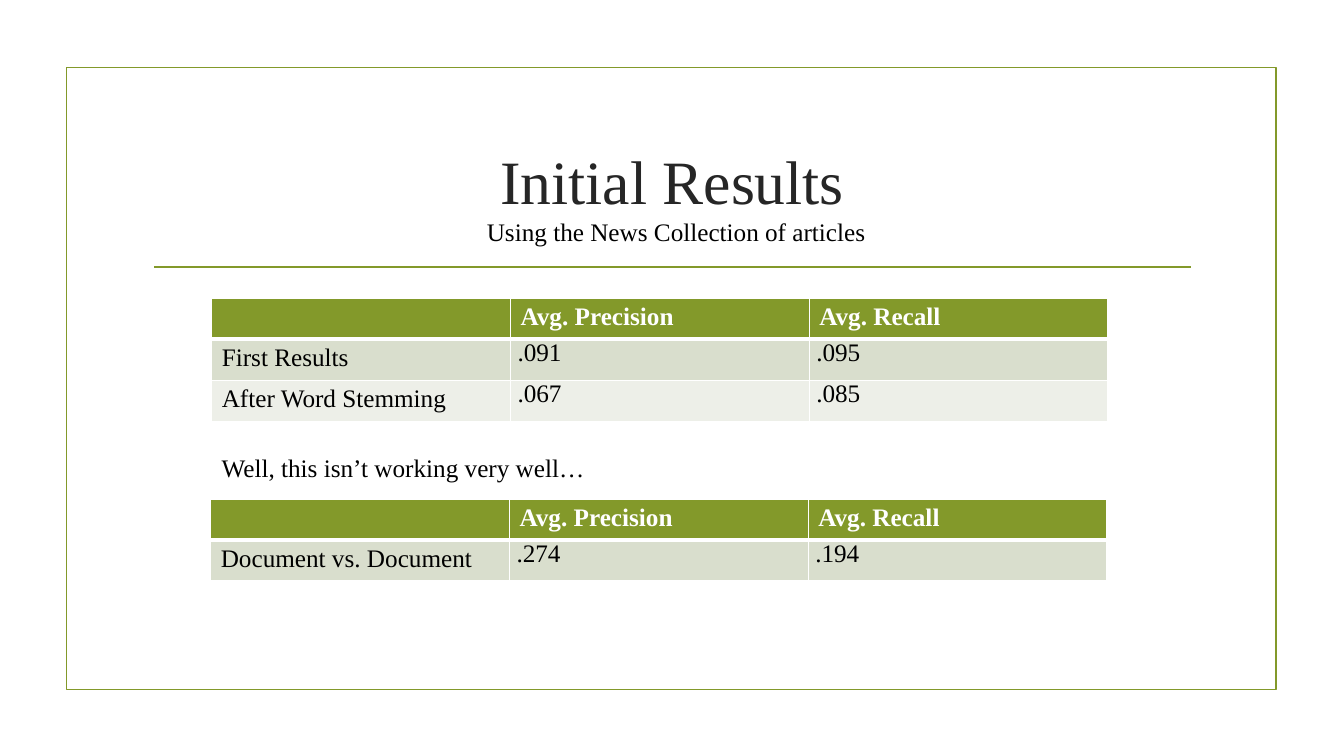
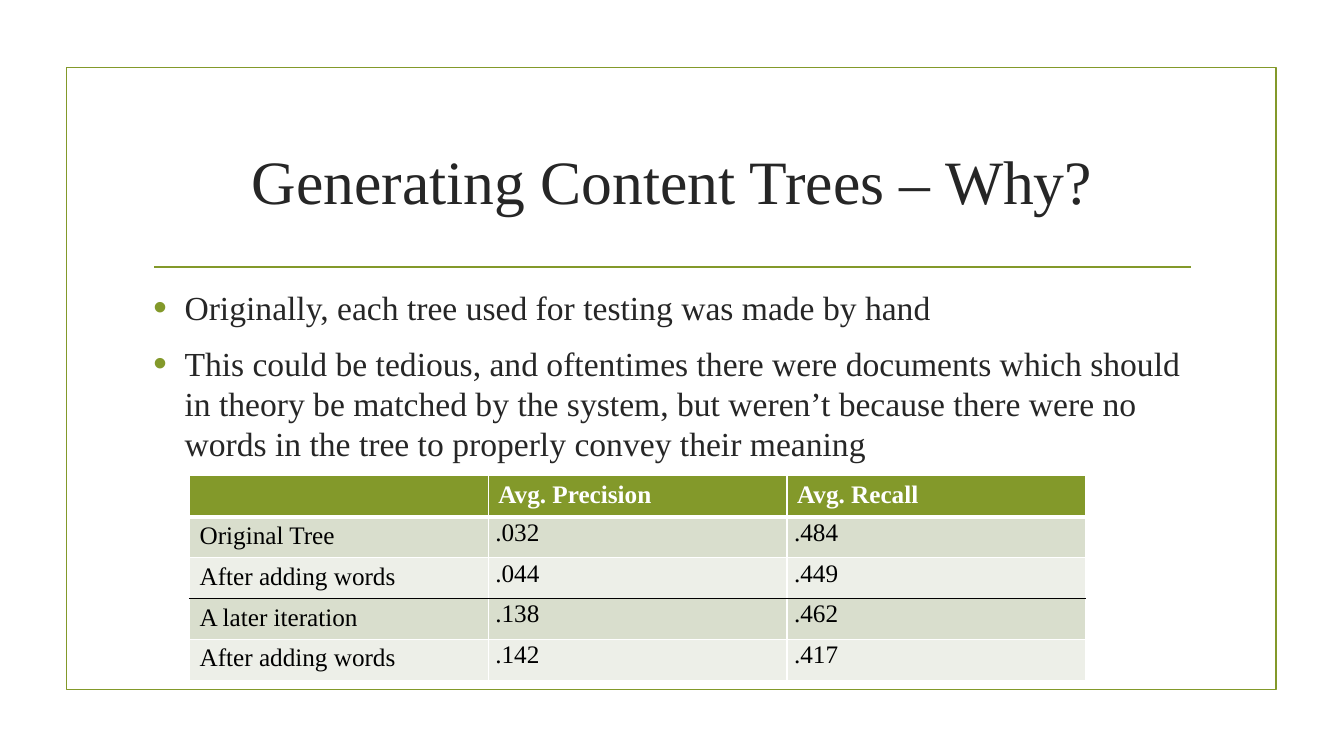
"""Build two slides of retrieval results with a shared frame and table style."""
import dataclasses
import typing

import pptx
import pptx.dml.color
import pptx.enum.shapes
import pptx.enum.text
import pptx.oxml.ns
import pptx.util
from lxml import etree

Inches = pptx.util.Inches
Pt = pptx.util.Pt
FONT = "Times New Roman"
COLORS = {
    "accent": "83992A",
    "heading": "262626",
    "text": "000000",
    "white": "FFFFFF",
    "band_dark": "D9DECD",
    "band_light": "EDEFE8",
}
FORMATS = {
    "title": {"size": Pt(44), "bold": False, "color": "heading"},
    "body": {"size": Pt(24), "bold": False, "color": "heading"},
    "text": {"size": Pt(18), "bold": False, "color": "text"},
    "header": {"size": Pt(18), "bold": True, "color": "white"},
}
NUMBER_MARGINS = {
    "margin_left": Inches(0.07),
    "margin_right": Inches(0.07),
    "margin_top": 0,
    "margin_bottom": 0,
}
HEADERS = ("", "Avg. Precision", "Avg. Recall")
TABLE_WIDTH = 8.89
ROW_HEIGHT = 2.03 / 5


@dataclasses.dataclass
class Note:
    text: str
    left: float
    top: float
    width: float


@dataclasses.dataclass
class Results:
    left: float
    top: float
    rows: typing.List[typing.Tuple[str, str, str]]
    black_rule_after: typing.Optional[int] = None
    line_spacing: float = 1.0


@dataclasses.dataclass
class Page:
    title: str
    tables: typing.List[Results]
    notes: typing.List[Note] = dataclasses.field(default_factory=list)
    bullets: typing.List[str] = dataclasses.field(default_factory=list)


def rgb(name: str) -> pptx.dml.color.RGBColor:
    return pptx.dml.color.RGBColor.from_string(COLORS[name])


def set_attrs(obj: typing.Any, values: dict) -> None:
    for name, value in values.items():
        setattr(obj, name, value)


def place(sp: typing.Any, left: float, top: float, width: float, height: float) -> None:
    box = {"left": left, "top": top, "width": width, "height": height}
    set_attrs(sp, {name: Inches(value) for name, value in box.items()})


def write(p: typing.Any, text: str, style: str) -> None:
    r = p.add_run()
    r.text = text
    values = dict(FORMATS[style])
    r.font.color.rgb = rgb(values.pop("color"))
    set_attrs(r.font, {"name": FONT, **values})


def add_xml(parent: typing.Any, tag: str, **attrs: str) -> typing.Any:
    return etree.SubElement(parent, pptx.oxml.ns.qn(tag), attrs)


def add_frame(s: typing.Any) -> None:
    sp = s.shapes.add_shape(
        pptx.enum.shapes.MSO_SHAPE.RECTANGLE,
        Inches(0.66), Inches(0.67), Inches(12), Inches(6.17))
    sp.shadow.inherit = False
    sp.fill.background()
    rule = s.shapes.add_connector(
        pptx.enum.shapes.MSO_CONNECTOR.STRAIGHT,
        Inches(1.53), Inches(2.65), Inches(11.81), Inches(2.65))
    for shape in (sp, rule):
        shape.line.color.rgb = rgb("accent")
        shape.line.width = Pt(1.25)
    add_xml(rule._element.spPr, "a:effectLst")


def add_title(s: typing.Any, text: str) -> None:
    sp = s.shapes.title
    place(sp, 1.42, 1.07, 10.5, 1.43)
    tf = sp.text_frame
    set_attrs(tf, {
        "auto_size": pptx.enum.text.MSO_AUTO_SIZE.NONE,
        "vertical_anchor": pptx.enum.text.MSO_ANCHOR.MIDDLE,
    })
    p = tf.paragraphs[0]
    p.alignment = pptx.enum.text.PP_ALIGN.CENTER
    write(p, text, "title")


def add_bullets(s: typing.Any, items: typing.List[str]) -> None:
    sp = s.placeholders[1]
    place(sp, 1.42, 2.8, 10.5, 3.63)
    tf = sp.text_frame
    tf.auto_size = pptx.enum.text.MSO_AUTO_SIZE.NONE
    for i, item in enumerate(items):
        p = tf.add_paragraph() if i else tf.paragraphs[0]
        p.space_after = Pt(6)
        p_pr = p._p.get_or_add_pPr()
        p_pr.set("marL", str(Inches(0.31)))
        p_pr.set("indent", str(-Inches(0.31)))
        add_xml(add_xml(p_pr, "a:buClr"), "a:srgbClr", val=COLORS["accent"])
        add_xml(p_pr, "a:buSzPct", val="115000")
        add_xml(p_pr, "a:buFont", typeface="Arial")
        add_xml(p_pr, "a:buChar", char="•")
        write(p, item, "body")


def add_note(s: typing.Any, note: Note) -> None:
    sp = s.shapes.add_textbox(
        Inches(note.left), Inches(note.top), Inches(note.width), Inches(0.4))
    tf = sp.text_frame
    tf.word_wrap = True
    write(tf.paragraphs[0], note.text, "text")


def add_border(cell: typing.Any, side: str, color: str, points: float) -> None:
    ln = add_xml(cell._tc.get_or_add_tcPr(), f"a:ln{side}", w=str(Pt(points)))
    add_xml(add_xml(ln, "a:solidFill"), "a:srgbClr", val=COLORS[color])


def add_results(s: typing.Any, results: Results) -> None:
    rows = [HEADERS, *results.rows]
    table = s.shapes.add_table(
        len(rows), len(HEADERS), Inches(results.left), Inches(results.top),
        Inches(TABLE_WIDTH), Inches(ROW_HEIGHT * len(rows))).table
    edges = {1: ("white", 3)}
    if results.black_rule_after is not None:
        edges[results.black_rule_after + 1] = ("text", 1)
    for i, row in enumerate(rows):
        fill = ("band_dark" if i % 2 else "band_light") if i else "accent"
        for j, text in enumerate(row):
            cell = table.cell(i, j)
            sides = {
                "L": ("white", 1),
                "R": ("white", 1),
                "T": edges.get(i, ("white", 1)),
                "B": edges.get(i + 1, ("white", 1)),
            }
            for side, (color, points) in sides.items():
                add_border(cell, side, color, points)
            cell.fill.solid()
            cell.fill.fore_color.rgb = rgb(fill)
            p = cell.text_frame.paragraphs[0]
            if i and j:
                set_attrs(cell, NUMBER_MARGINS)
                p.line_spacing = results.line_spacing
            if text:
                write(p, text, "text" if i else "header")


def add_page(prs: typing.Any, page: Page) -> None:
    s = prs.slides.add_slide(prs.slide_layouts[1 if page.bullets else 5])
    add_frame(s)
    add_title(s, page.title)
    if page.bullets:
        add_bullets(s, page.bullets)
    for results in page.tables:
        add_results(s, results)
    for note in page.notes:
        add_note(s, note)


PAGES = [
    Page(
        "Initial Results",
        tables=[
            Results(2.1, 2.96, [
                ("First Results", ".091", ".095"),
                ("After Word Stemming", ".067", ".085"),
            ]),
            Results(2.09, 4.95, [("Document vs. Document", ".274", ".194")]),
        ],
        notes=[
            Note("Well, this isn’t working very well…", 2.1, 4.44, 8.88),
            Note("Using the News Collection of articles", 4.73, 2.1, 4.02),
        ],
    ),
    Page(
        "Generating Content Trees – Why?",
        tables=[
            Results(1.88, 4.72, [
                ("Original Tree", ".032", ".484"),
                ("After adding words", ".044", ".449"),
                ("A later iteration", ".138", ".462"),
                ("After adding words", ".142", ".417"),
            ], black_rule_after=2, line_spacing=1.07),
        ],
        bullets=[
            "Originally, each tree used for testing was made by hand",
            "This could be tedious, and oftentimes there were documents which "
            "should in theory be matched by the system, but weren’t because "
            "there were no words in the tree to properly convey their meaning",
        ],
    ),
]


def main() -> None:
    prs = pptx.Presentation()
    prs.slide_width = Inches(13.33)
    prs.slide_height = Inches(7.5)
    for page in PAGES:
        add_page(prs, page)
    prs.save("out.pptx")


if __name__ == "__main__":
    main()
